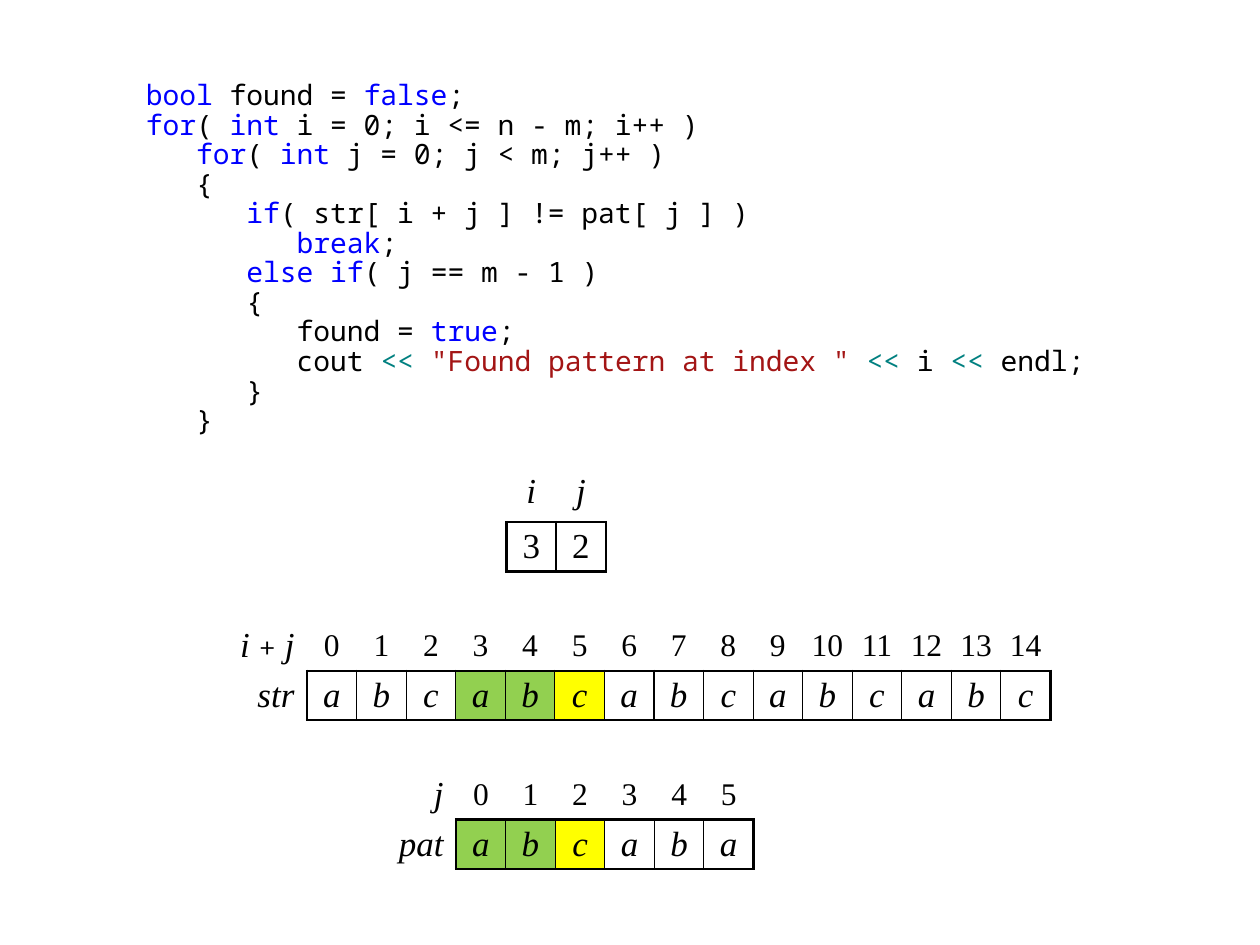
import pptx
import pptx.util
import pptx.dml.color
import pptx.enum.text
import pptx.oxml.ns
import lxml.etree

Inches, Pt = pptx.util.Inches, pptx.util.Pt
ALIGN, ANCHOR = pptx.enum.text.PP_ALIGN, pptx.enum.text.MSO_ANCHOR
GREEN, YELLOW, WHITE = "92D050", "FFFF00", "FFFFFF"
PLAIN = "{2D5ABB26-0587-4C30-8999-92F81FD0307C}"  # no style, no grid
UNIT = Inches(6.69) // 17  # side of one square cell


def color(text):
    return pptx.dml.color.RGBColor.from_string(text)


def border(cell, **sides):
    props = cell._tc.get_or_add_tcPr()
    for side in "LRTB":
        if side in sides:
            tag = pptx.oxml.ns.qn("a:ln" + side)
            line = lxml.etree.SubElement(props, tag, w=str(Pt(sides[side])))
            fill = lxml.etree.SubElement(line, pptx.oxml.ns.qn("a:solidFill"))
            lxml.etree.SubElement(fill, pptx.oxml.ns.qn("a:srgbClr"), val="000000")


deck = pptx.Presentation()
deck.slide_width, deck.slide_height = Inches(10), Inches(7.5)
slide = deck.slides.add_slide(deck.slide_layouts[6])

# Code, with | between differently coloured pieces
code = """\
bool| found = |false|;
for|( |int| i = 0; i <= n - m; i++ )
   |for|( |int| j = 0; j < m; j++ )
   {
      |if|( str[ i + j ] != pat[ j ] )
         |break|;
      |else if|( j == m - 1 )
      {
         found = |true|;
         cout |<<| |"Found pattern at index "| |<<| i |<<| endl;
      }
   }"""
paint = dict.fromkeys(
    ["bool", "false", "for", "int", "if", "break", "else if", "true"], "0000FF")
paint["<<"] = "008080"
paint['"Found pattern at index "'] = "A31515"

box = slide.shapes.add_textbox(Inches(1.06), Inches(0.6), Inches(7.68), Inches(3.35))
frame = box.text_frame
frame.word_wrap = False
for row, line in enumerate(code.split("\n")):
    para = frame.add_paragraph() if row else frame.paragraphs[0]
    para.line_spacing = 0.88
    for piece in line.split("|"):
        run = para.add_run()
        run.text = piece
        run.font.name, run.font.size = "Noto Sans Mono", Pt(16)
        run.font.color.rgb = color(paint.get(piece, "000000"))

# Tables: left, top, label width in cells, labels, heads, values, fills, inset
match = [GREEN, GREEN, YELLOW]
tables = [
    (1.65, 4.93, 2, ["i + j", "str"], range(15), "abc" * 5,
     [WHITE] * 3 + match + [WHITE] * 5 + [None] * 4, 0.04),
    (4.02, 3.75, 0, [], "ij", "32", [None] * 2, 0),
    (3.03, 6.11, 1.5, ["j", "pat"], range(6), "abcaba",
     match + [WHITE, WHITE, None], 0.1),
]
for left, top, wide, labels, heads, values, fills, inset in tables:
    first = len(labels) // 2  # column of the first value
    count = len(values) + first
    width = int(UNIT * (wide + len(values)))
    shape = slide.shapes.add_table(
        2, count, Inches(left), Inches(top), width, 2 * UNIT)
    grid = shape.table
    grid.first_row = grid.horz_banding = False
    shape._element.find(".//" + pptx.oxml.ns.qn("a:tableStyleId")).text = PLAIN
    for col in range(count):
        grid.columns[col].width = UNIT if col >= first else int(UNIT * wide)
    for row, items in enumerate((heads, values)):
        grid.rows[row].height = UNIT
        for col, item in enumerate(labels[row:row + 1] + list(items)):
            cell = grid.cell(row, col)
            label = col < first
            cell.margin_left = cell.margin_right = Inches(0.1 if label else inset)
            cell.margin_top = cell.margin_bottom = 0
            cell.vertical_anchor = ANCHOR.MIDDLE if first or row else ANCHOR.TOP

            # Borders and fill
            shade = None
            if row and label:
                border(cell, R=1.5)
            elif row:
                thin = 0.75 if first else 1.5
                border(cell, L=1.5 if col == first else thin,
                       R=1.5 if col == count - 1 else thin, T=1.5, B=1.5)
                shade = fills[col - first]
            if shade:
                cell.fill.solid()
                cell.fill.fore_color.rgb = color(shade)
            else:
                cell.fill.background()

            # Text: letters slanted, digits and plus upright
            para = cell.text_frame.paragraphs[0]
            para.alignment = ALIGN.RIGHT if label else ALIGN.CENTER
            text = str(item)
            for piece in ["i ", "+", " ", "j"] if text == "i + j" else [text]:
                run = para.add_run()
                run.text = piece
                small = piece == "+" or (first and not row and not label)
                run.font.name = "Cambria" if piece == "+" else "Times New Roman"
                run.font.size = Pt(18 if small else 20)
                run.font.italic = piece.strip().isalpha()
                run.font.color.rgb = color("000000")

deck.save("out.pptx")
